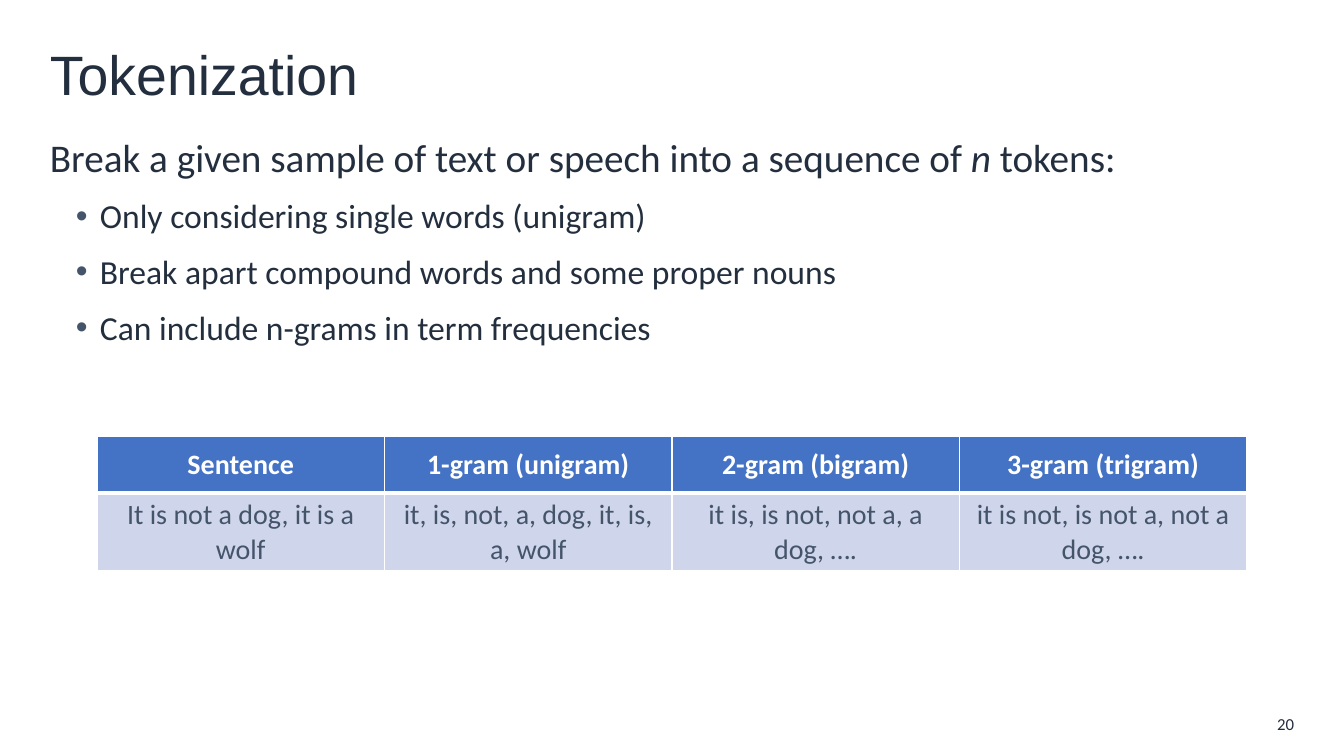
from lxml import etree
from pptx import Presentation, util as u
from pptx.dml.color import RGBColor
from pptx.enum import text
from pptx.oxml import ns

PX = 914400 / 100.8
INK, SLATE, WHITE = "232F3E", "44546A", "FFFFFF"
BLUE, PALE = "4472C4", "CFD5EA"


def px(count):
    return u.Emu(round(count * PX))


def color(value):
    return RGBColor.from_string(value)


def add_xml(parent, tag, **attributes):
    return etree.SubElement(parent, ns.qn(tag), attributes)


class Slide:
    font = "Calibri"

    def __init__(self, deck):
        self.page = deck.slides.add_slide(deck.slide_layouts[6])

    def span(self, para, words, size, ink=INK, font=None, bold=False, italic=False):
        span = para.add_run()
        span.text = words
        span.font.name = font or self.font
        span.font.size = u.Pt(size)
        span.font.color.rgb = color(ink)
        span.font.bold, span.font.italic = bold, italic

    def box(self, left, top, width, height, anchor=text.MSO_ANCHOR.MIDDLE):
        frame = self.page.shapes.add_textbox(px(left), px(top), px(width), px(height)).text_frame
        frame.word_wrap = True
        frame.vertical_anchor = anchor
        return frame

    def bullet(self, frame, words):
        para = frame.add_paragraph()
        para.level = 1
        properties = para._p.get_or_add_pPr()
        properties.set("marL", str(px(50)))
        properties.set("indent", str(px(-24)))
        add_xml(add_xml(properties, "a:buClr"), "a:srgbClr", val=SLATE)
        add_xml(properties, "a:buFont", typeface="Arial")
        add_xml(properties, "a:buChar", char="•")
        para.space_before, para.space_after = u.Pt(5), u.Pt(6)
        self.span(para, words, 24)

    def borders(self, cell, **widths):
        """Draw white cell borders; sides L, R, T, B give widths in points."""
        properties = cell._tc.get_or_add_tcPr()
        for side, width in widths.items():
            line = add_xml(properties, f"a:ln{side}", w=str(u.Pt(width)))
            add_xml(add_xml(line, "a:solidFill"), "a:srgbClr", val=WHITE)

    def table(self, left, top, column_width, row_heights, rows):
        columns = len(rows[0])
        table = self.page.shapes.add_table(
            len(rows), columns, px(left), px(top),
            px(column_width * columns), px(sum(row_heights))).table
        table.horz_banding = False
        for column in table.columns:
            column.width = px(column_width)
        for i, (height, words) in enumerate(zip(row_heights, rows)):
            table.rows[i].height = px(height)
            header = i == 0
            for j, content in enumerate(words):
                cell = table.cell(i, j)
                self.borders(cell, L=1, R=1, T=1 if header else 3, B=3 if header else 1)
                cell.fill.solid()
                cell.fill.fore_color.rgb = color(BLUE if header else PALE)
                cell.vertical_anchor = text.MSO_ANCHOR.MIDDLE
                para = cell.text_frame.paragraphs[0]
                para.alignment = text.PP_ALIGN.CENTER
                self.span(para, content, 20, WHITE if header else SLATE, bold=header)


def main():
    deck = Presentation()
    deck.slide_width, deck.slide_height = px(1344), px(756)
    slide = Slide(deck)

    number = slide.box(1251, 711, 53, 25).paragraphs[0]
    number.alignment = text.PP_ALIGN.RIGHT
    slide.span(number, "20", 12)

    title = slide.box(40, 33, 1264, 81).paragraphs[0]
    slide.span(title, "Tokenization", 39.6, font="Arial")

    body = slide.box(40, 128, 1264, 581, text.MSO_ANCHOR.TOP)
    intro = body.paragraphs[0]
    intro.space_after = u.Pt(6)
    slide.span(intro, "Break a given sample of text or speech into a sequence of ", 28)
    slide.span(intro, "n", 28, italic=True)
    slide.span(intro, " tokens:", 28)
    for point in ("Only considering single words (unigram)",
                  "Break apart compound words and some proper nouns",
                  "Can include n-grams in term frequencies"):
        slide.bullet(body, point)

    slide.table(97, 436, 287.5, (57, 77), (
        ("Sentence", "1-gram (unigram)", "2-gram (bigram)", "3-gram (trigram)"),
        ("It is not a dog, it is a wolf", "it, is, not, a, dog, it, is, a, wolf",
         "it is, is not, not a, a dog, ….", "it is not, is not a, not a dog, ….")))

    deck.save("out.pptx")


if __name__ == "__main__":
    main()
